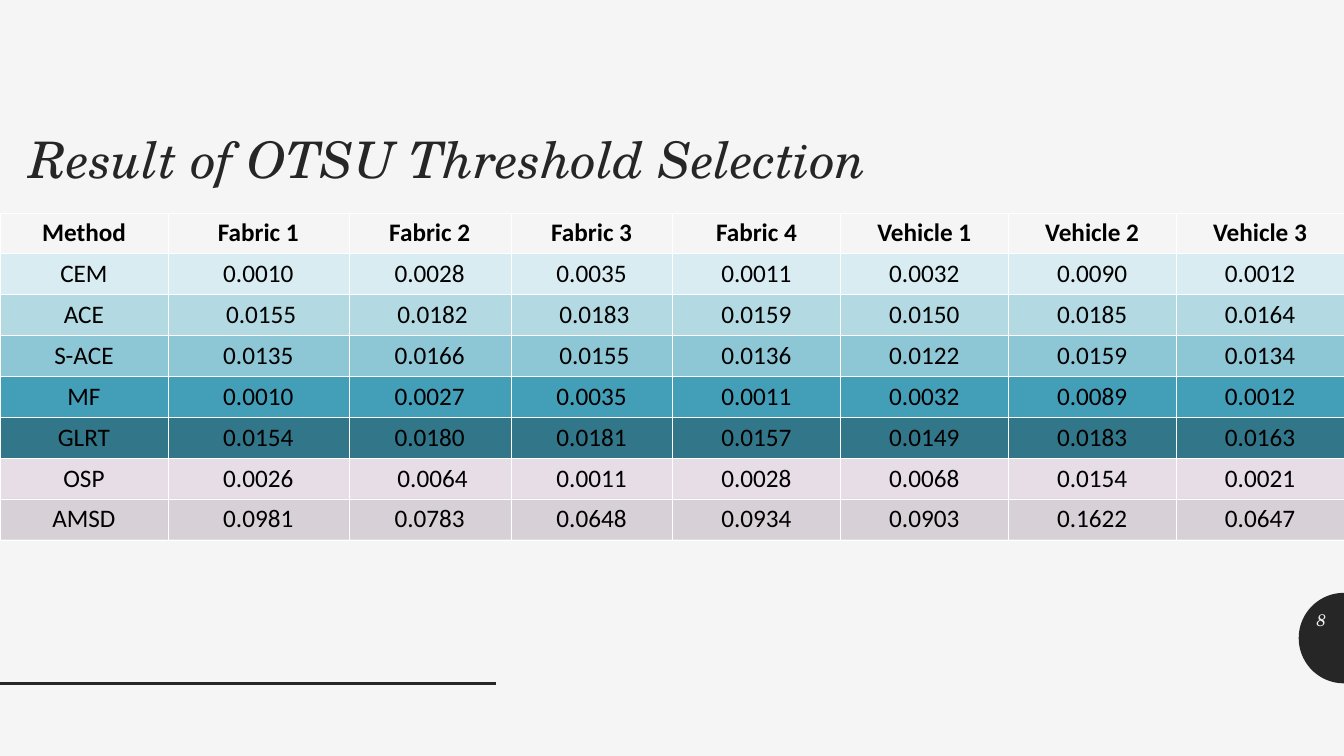
from dataclasses import dataclass
from math import cos, pi, sin

from lxml.etree import SubElement
from pptx import Presentation
from pptx.dml.color import RGBColor
from pptx.enum.shapes import MSO_CONNECTOR
from pptx.enum.text import MSO_ANCHOR, PP_ALIGN
from pptx.oxml import parse_xml
from pptx.oxml.ns import nsdecls, qn
from pptx.util import Cm, Pt


@dataclass(frozen=True)
class Theme:
    """Colours, fonts and type sizes of the slide."""
    paper: str = "F5F5F5"
    ink: str = "262626"
    table_ink: str = "000000"
    grid: str = "FFFFFF"
    display_font: str = "TeX Gyre Schola"
    table_font: str = "Calibri"
    title_size: int = 36
    table_size: int = 18
    number_size: int = 12


THEME = Theme()
SLIDE_WIDTH, SLIDE_HEIGHT = 33.87, 19.05
COLUMN_WIDTHS = [4.23, 4.56, 4.08, 4.08, 4.23, 4.23, 4.23, 4.23]
ROW_HEIGHT = 1.03
HEADINGS = ["Method", "Fabric 1", "Fabric 2", "Fabric 3", "Fabric 4",
            "Vehicle 1", "Vehicle 2", "Vehicle 3"]
RESULTS = [
    ("D9ECF1", 100, ["CEM", "0.0010", "0.0028", "0.0035", "0.0011", "0.0032", "0.0090", "0.0012"]),
    ("B3D9E3", 100, ["ACE", " 0.0155", " 0.0182", " 0.0183", "0.0159", "0.0150", "0.0185", "0.0164"]),
    ("8DC6D5", 100, ["S-ACE", "0.0135", "0.0166", " 0.0155", "0.0136", "0.0122", "0.0159", "0.0134"]),
    ("439EB7", 100, ["MF", "0.0010", "0.0027", "0.0035", "0.0011", "0.0032", "0.0089", "0.0012"]),
    ("327689", 100, ["GLRT", "0.0154", "0.0180", "0.0181", "0.0157", "0.0149", "0.0183", "0.0163"]),
    ("E7DDE7", 100, ["OSP", "0.0026", " 0.0064", "0.0011", "0.0028", "0.0068", "0.0154", "0.0021"]),
    ("624462", 20, ["AMSD", "0.0981", "0.0783", "0.0648", "0.0934", "0.0903", "0.1622", "0.0647"]),
]


def rgb(colour):
    """Turn a hex string into a colour."""
    return RGBColor.from_string(colour)


def write(frame, text, *, size, font, colour, bold=False, italic=False, spacing=None):
    """Put one centred, formatted paragraph into a text frame."""
    frame.word_wrap = True
    paragraph = frame.paragraphs[0]
    paragraph.alignment = PP_ALIGN.CENTER
    paragraph.line_spacing = spacing
    run = paragraph.add_run()
    run.text = text
    run.font.size = Pt(size)
    run.font.name = font
    run.font.bold = bold
    run.font.italic = italic
    run.font.color.rgb = rgb(colour)


def add_title(slide, text):
    """Add the slide title."""
    title = slide.shapes.add_textbox(Cm(0), Cm(3.28), Cm(22.6), Cm(1.8))
    write(title.text_frame, text, size=THEME.title_size, font=THEME.display_font,
          colour=THEME.ink, italic=True, spacing=0.9)


def add_rule(slide, width, top):
    """Draw the line that runs in from the left edge."""
    rule = slide.shapes.add_connector(MSO_CONNECTOR.STRAIGHT, Cm(0), Cm(top), Cm(width), Cm(top))
    rule.line.color.rgb = rgb(THEME.ink)
    rule.line.width = Pt(2)
    SubElement(rule._element.spPr, qn("a:effectLst"))


def add_page_badge(slide, number, centre_y, radius, steps=48):
    """Draw the half disc on the right edge and its page number."""
    angles = [pi / 2 + pi * step / steps for step in range(steps + 1)]
    arc = [(Cm(SLIDE_WIDTH + radius * cos(angle)), Cm(centre_y + radius * sin(angle)))
           for angle in angles]
    outline = slide.shapes.build_freeform(*arc[0])
    outline.add_line_segments(arc[1:], close=True)
    badge = outline.convert_to_shape()
    badge.shadow.inherit = False
    badge.fill.solid()
    badge.fill.fore_color.rgb = rgb(THEME.ink)
    badge.line.fill.background()

    page = slide.shapes.add_textbox(Cm(SLIDE_WIDTH - radius), Cm(15.33), Cm(radius), Cm(0.6))
    frame = page.text_frame
    frame.margin_left = frame.margin_right = frame.margin_top = frame.margin_bottom = 0
    frame.vertical_anchor = MSO_ANCHOR.MIDDLE
    write(frame, number, size=THEME.number_size, font=THEME.display_font,
          colour=THEME.paper, italic=True)


def add_borders(cell):
    """Give all four sides of a cell a hairline."""
    properties = cell._tc.get_or_add_tcPr()
    for side in "LRTB":
        properties.append(parse_xml(
            f'<a:ln{side} {nsdecls("a")} w="{Pt(0.25)}"><a:solidFill>'
            f'<a:srgbClr val="{THEME.grid}"/></a:solidFill></a:ln{side}>'))


def fill_cell(cell, colour, opacity):
    """Fill a cell, or leave it clear when there is no colour."""
    if colour is None:
        cell.fill.background()
        return
    cell.fill.solid()
    cell.fill.fore_color.rgb = rgb(colour)
    if opacity < 100:
        tint = cell._tc.tcPr.find(f'{qn("a:solidFill")}/{qn("a:srgbClr")}')
        SubElement(tint, qn("a:alpha")).set("val", str(opacity * 1000))


def add_results(slide, top):
    """Add the table of thresholds by method and target."""
    rows = [(None, 100, HEADINGS), *RESULTS]
    table = slide.shapes.add_table(len(rows), len(HEADINGS), Cm(0), Cm(top),
                                   Cm(SLIDE_WIDTH), Cm(ROW_HEIGHT * len(rows))).table
    table.horz_banding = False
    for column, width in zip(table.columns, COLUMN_WIDTHS):
        column.width = Cm(width)
    for row, (colour, opacity, values) in zip(table.rows, rows):
        row.height = Cm(ROW_HEIGHT)
        for cell, value in zip(row.cells, values):
            add_borders(cell)
            fill_cell(cell, colour, opacity)
            write(cell.text_frame, value, size=THEME.table_size, font=THEME.table_font,
                  colour=THEME.table_ink, bold=values is HEADINGS)


def main():
    """Build the slide and save it."""
    deck = Presentation()
    deck.slide_width, deck.slide_height = Cm(SLIDE_WIDTH), Cm(SLIDE_HEIGHT)
    slide = deck.slides.add_slide(deck.slide_layouts[6])
    slide.background.fill.solid()
    slide.background.fill.fore_color.rgb = rgb(THEME.paper)
    add_page_badge(slide, "8", centre_y=16.08, radius=1.14)
    add_rule(slide, width=12.5, top=17.22)
    add_title(slide, "Result of OTSU Threshold Selection")
    add_results(slide, top=5.36)
    deck.save("out.pptx")


if __name__ == "__main__":
    main()
